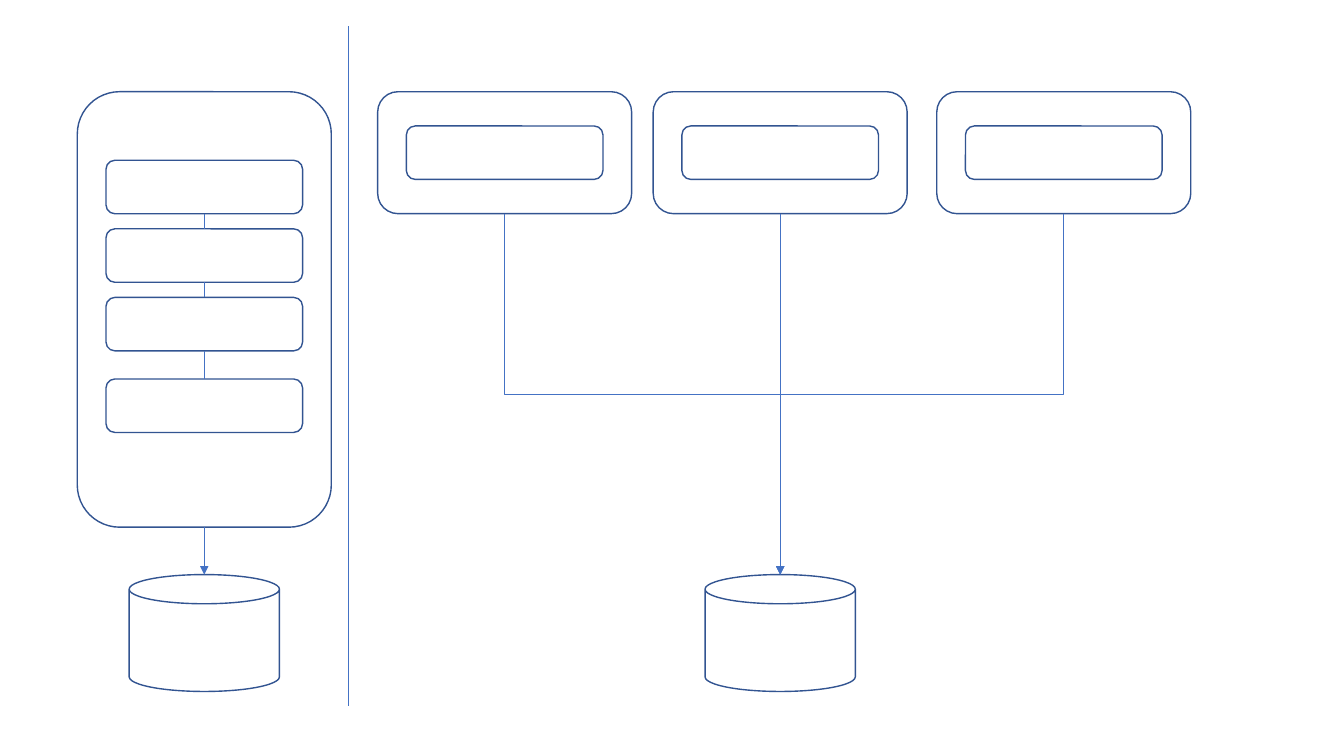
import pptx
import pptx.dml.color
import pptx.enum.shapes
import pptx.oxml.ns
import pptx.util
import lxml.etree

SHAPES = pptx.enum.shapes.MSO_SHAPE
CONNECTORS = pptx.enum.shapes.MSO_CONNECTOR


def colour(hex_code):
    return pptx.dml.color.RGBColor.from_string(hex_code)


class Diagram:
    """Draws on one slide; x and y are percent of its width and height."""

    outline = {"colour": "325491", "width": pptx.util.Pt(1)}
    link = {"colour": "4472C4", "width": pptx.util.Pt(0.5)}

    def __init__(self, deck):
        self.column = deck.slide_width / 100
        self.row = deck.slide_height / 100
        self.page = deck.slides.add_slide(deck.slide_layouts[6])

    def set_line(self, line, style):
        line.fill.solid()
        for name, value in {"width": style["width"]}.items():
            setattr(line, name, value)
        line.color.rgb = colour(style["colour"])

    def shape(self, kind, center, top, width, height):
        left = center - width / 2
        shape = self.page.shapes.add_shape(
            kind, round(left * self.column), round(top * self.row),
            round(width * self.column), round(height * self.row))
        shape.shadow.inherit = False
        shape.fill.background()
        self.set_line(shape.line, self.outline)
        return shape

    def card(self, center, top, height):
        return self.shape(SHAPES.ROUNDED_RECTANGLE, center, top, 18.9, height)

    def box(self, center, top):
        return self.shape(SHAPES.ROUNDED_RECTANGLE, center, top, 14.63, BOX_HEIGHT)

    def database(self, center):
        return self.shape(SHAPES.CAN, center, DATABASE_TOP, 11.18, 15.47)

    def connector(self, kind, ends, arrow):
        line = self.page.shapes.add_connector(kind, *map(round, ends))
        self.set_line(line.line, self.link)
        tag = pptx.oxml.ns.qn
        if arrow:
            lxml.etree.SubElement(
                line.line._get_or_add_ln(), tag("a:tailEnd"), type="triangle")
        lxml.etree.SubElement(line._element.spPr, tag("a:effectLst"))
        return line

    def vertical(self, x, top, bottom, arrow=False):
        x *= self.column
        ends = x, top * self.row, x, bottom * self.row
        return self.connector(CONNECTORS.STRAIGHT, ends, arrow)

    def elbow_down(self, start_x, top, end_x, bottom):
        """Elbow leaving downwards: a sideways elbow turned by a quarter."""
        side = 1 if start_x > end_x else -1
        middle_x = (start_x + end_x) / 2 * self.column
        middle_y = (top + bottom) / 2 * self.row
        reach = side * (bottom - top) / 2 * self.row
        half_span = abs(start_x - end_x) / 2 * self.column
        ends = (middle_x - reach, middle_y - half_span,
                middle_x + reach, middle_y + half_span)
        line = self.connector(CONNECTORS.ELBOW, ends, True)
        line.rotation = 90 * side % 360
        return line


CARD_TOP = 12.13
BOX_HEIGHT = 7.07
DATABASE_TOP = 76
MONOLITH_CENTER, MONOLITH_HEIGHT = 15.2, 57.6
SERVICE_CENTERS = [37.55, 58.05, 79.15]
SERVICE_HEIGHT = 16.13
LAYER_TOPS = [21.2 + 9.07 * index for index in range(3)] + [50.13]


def draw_monolith(diagram):
    center = MONOLITH_CENTER
    diagram.card(center, CARD_TOP, MONOLITH_HEIGHT)
    for top in LAYER_TOPS:
        diagram.box(center, top)
    for upper, lower in zip(LAYER_TOPS, LAYER_TOPS[1:]):
        diagram.vertical(center, upper + BOX_HEIGHT, lower)
    diagram.database(center)
    diagram.vertical(center, CARD_TOP + MONOLITH_HEIGHT, DATABASE_TOP, arrow=True)


def draw_services(diagram):
    left, middle, right = SERVICE_CENTERS
    for center in SERVICE_CENTERS:
        diagram.card(center, CARD_TOP, SERVICE_HEIGHT)
        diagram.box(center, CARD_TOP + (SERVICE_HEIGHT - BOX_HEIGHT) / 2)
    diagram.database(middle)
    bottom = CARD_TOP + SERVICE_HEIGHT
    for center in (right, left):
        diagram.elbow_down(center, bottom, middle, DATABASE_TOP)
    diagram.vertical(middle, bottom, DATABASE_TOP, arrow=True)


def main():
    deck = pptx.Presentation()
    size = {"slide_width": pptx.util.Inches(13.33), "slide_height": pptx.util.Inches(7.5)}
    for name, value in size.items():
        setattr(deck, name, value)
    diagram = Diagram(deck)
    draw_monolith(diagram)
    diagram.vertical(25.95, 3.47, 93.33)
    draw_services(diagram)
    deck.save("out.pptx")


if __name__ == "__main__":
    main()
